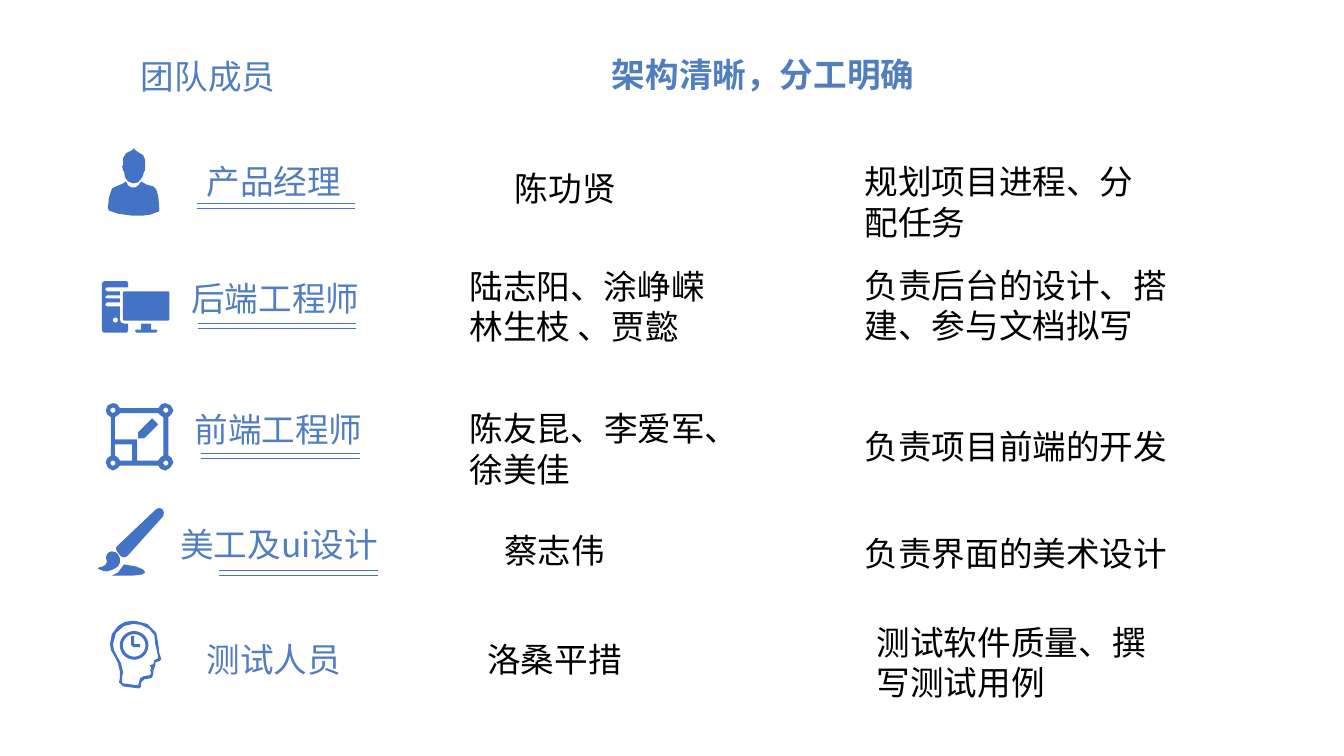
"""Build a team slide with roles, icons, members and duties."""
import math
from dataclasses import dataclass

import pptx
import pptx.dml.color
import pptx.enum.shapes
import pptx.enum.text
import pptx.oxml
import pptx.oxml.ns
import pptx.util
from lxml import etree

WIDTH, HEIGHT = pptx.util.Inches(13.33), pptx.util.Inches(7.5)
COLORS = {"heading": "517EBF", "icon": "4472C4", "body": "000000"}
FONT = "Noto Sans CJK SC"
ICON_CELL = WIDTH / 1333
ONE_LINE, TWO_LINES = 6.67, 12.13
RULE_WIDTH, RULE_GAP = 11.82, 0.6
Point = tuple[float, float]


@dataclass
class Label:
    text: str
    x: float
    y: float
    w: float
    h: float = ONE_LINE
    color: str = "body"
    bold: bool = False
    centered: bool = False


@dataclass
class Icon:
    x: float
    y: float
    outlines: list[str]
    circles: tuple[tuple[float, float, float], ...] = ()


@dataclass
class TeamRow:
    icon: Icon
    role: Label
    members: Label
    duty: Label
    rule: Point | None = None


def across(share: float) -> int:
    return round(WIDTH * share / 100)


def down(share: float) -> int:
    return round(HEIGHT * share / 100)


def rgb(name: str) -> pptx.dml.color.RGBColor:
    return pptx.dml.color.RGBColor.from_string(COLORS[name])


def role(text: str, x: float, y: float, w: float) -> Label:
    return Label(text, x, y, w, color="heading")


def draw_label(s, label: Label) -> None:
    box = s.shapes.add_textbox(across(label.x), down(label.y), across(label.w), down(label.h))
    tf = box.text_frame
    tf.text = label.text
    tf.word_wrap = True
    tf.auto_size = pptx.enum.text.MSO_AUTO_SIZE.SHAPE_TO_FIT_TEXT
    for p in tf.paragraphs:
        if label.centered:
            p.alignment = pptx.enum.text.PP_ALIGN.CENTER
        for r in p.runs:
            r.font.size = pptx.util.Pt(24)
            r.font.bold = label.bold
            r.font.color.rgb = rgb(label.color)
            r.font.name = FONT
            ea = etree.SubElement(r._r.get_or_add_rPr(), pptx.oxml.ns.qn("a:ea"))
            ea.set("typeface", FONT)


def parse_outline(outline: str) -> list[Point]:
    return [tuple(map(float, pair.split(","))) for pair in outline.split()]


def circle_points(cx: float, cy: float, radius: float) -> list[Point]:
    angles = (math.tau * i / 32 for i in range(32))
    return [(cx + radius * math.cos(a), cy + radius * math.sin(a)) for a in angles]


def draw_icon(s, icon: Icon) -> None:
    contours = [parse_outline(o) for o in icon.outlines]
    contours += [circle_points(*c) for c in icon.circles]
    placed = [[(across(icon.x) + x * ICON_CELL, down(icon.y) + y * ICON_CELL) for x, y in c]
              for c in contours]
    builder = s.shapes.build_freeform(*placed[0][0])
    for i, contour in enumerate(placed):
        if i:
            builder.move_to(*contour[0])
        builder.add_line_segments(contour[1:], close=True)
    sp = builder.convert_to_shape()
    sp.shadow.inherit = False
    sp.fill.solid()
    sp.fill.fore_color.rgb = rgb("icon")
    sp.line.fill.background()


def draw_double_rule(s, x: float, y: float) -> None:
    for top in (y, y + RULE_GAP):
        line = s.shapes.add_connector(
            pptx.enum.shapes.MSO_CONNECTOR.STRAIGHT,
            across(x), down(top), across(x + RULE_WIDTH), down(top))
        line.line.color.rgb = rgb("icon")
        line.line.width = pptx.util.Pt(0.5)
        etree.SubElement(line._element.spPr, pptx.oxml.ns.qn("a:effectLst"))


MANAGER = Icon(8.03, 19.6, [
    "18,33 20,37 23,39 27,39 30,37 33,33 38,36 45,38 48,41 50,48 51,61 50,63 42,66 "
    "34,67 24,67 10,65 1,62 0,59 1,49 4,40 8,38 15,35",
    "26,0 27,2 30,4 35,7 37,12 37,18 37,22 36,23 34,29 30,34 25,35 20,33 17,29 16,23 "
    "15,22 14,18 15,17 15,10 18,5 22,3 24,2"])
COMPUTER = Icon(7.58, 37.2, [
    "22,10 66,10 67,11 67,38 66,39 22,39 21,38 21,11",
    "54,48 49,48 49,42 39,42 39,48 34,48 33,49 34,51 54,51 55,49",
    "26,6 5,6 3,8 5,10 18,10 18,14 5,14 3,16 5,17 18,17 18,21 5,21 3,23 5,25 18,25 "
    "18,38 19,41 22,42 26,42 26,49 25,51 2,51 0,49 0,2 2,0 25,0 26,2"],
    ((13.5, 38.5, 2.5),))
FRAME = Icon(7.88, 53.33, [
    "7,0 11,1 14,5 52,5 55,1 59,0 64,2 67,7 65,11 62,14 62,52 65,54 67,59 64,64 59,67 "
    "54,65 52,62 14,62 11,65 7,67 2,64 0,59 1,55 5,52 5,14 1,11 0,7 2,2",
    "14,10 12,12 9,14 9,36 31,36 31,57 52,57 54,54 57,52 57,14 54,12 52,10",
    "9,41 9,52 12,54 14,57 26,57 26,41",
    "46,15 52,21 38,35 32,35 32,29"],
    tuple((x, y, 2.5) for x in (7, 59.5) for y in (7, 59.5)))
BRUSH = Icon(7.28, 67.2, [
    "26,56 38,58 45,61 47,64 44,66 35,67 19,67 14,67 20,64 23,60",
    "14,43 18,44 20,46 22,50 22,54 20,58 15,61 9,63 4,62 0,60 1,59 5,58 8,56 9,53 "
    "8,49 9,46 11,44",
    "61,0 64,1 65.5,4 65,8 29,48 26,49 23,48 19,43 18,40 19,38 58,1"])
HEAD = Icon(8.18, 82.13, [
    "25,0 37,3 46,12 48,23 49,32 51,38 49,40 45,41 45,44 44,47 43,49 43,52 42,56 40,57 "
    "34,58 31,61 31,65 29,67 13,65 10,62 9,61 10,56 10,51 8,42 5,36 1,29 0,23 2,13 8,5 "
    "15,1 22,0",
    "23,3 14,5 6,12 3,23 4,29 7,35 11,42 13,51 12,56 12,61 13,62 28,64 30,57 33,55 "
    "39,54 41,52 40,49 41,47 40,45 40,44 43,43 44,39 48,37 47,32 45,23 44,14 39,8 31,4",
    "21,15 24,15 24,23 30,23 30,26 23,26 21,24"],
    ((24, 24.3, 14.2), (24, 24.3, 11.2)))

HEADINGS = [
    Label("团队成员", 9.75, 6.67, 30.6, color="heading"),
    Label("架构清晰，分工明确", 24.08, 6.53, 65.4, color="heading", bold=True, centered=True),
]
TEAM = [
    TeamRow(MANAGER, role("产品经理", 14.63, 20.67, 13.58),
            Label("陈功贤", 37.58, 21.6, 14.78),
            Label("规划项目进程、分配任务", 63.6, 20.67, 21.6, TWO_LINES), (14.63, 26.93)),
    TeamRow(COMPUTER, role("后端工程师", 13.5, 36.13, 14.78),
            Label("陆志阳、涂峥嵘\n林生枝 、贾懿", 34.2, 34.53, 21.75, TWO_LINES),
            Label("负责后台的设计、搭建、参与文档拟写", 63.6, 34.4, 24.08, TWO_LINES),
            (14.7, 42.8)),
    TeamRow(FRAME, role("前端工程师", 13.73, 53.47, 15.38),
            Label("陈友昆、李爱军、徐美佳", 34.2, 53.33, 20.63, TWO_LINES),
            Label("负责项目前端的开发", 63.6, 55.73, 24.08), (14.93, 60)),
    TeamRow(BRUSH, role("美工及ui设计", 12.68, 68.67, 19.43),
            Label("蔡志伟", 31.13, 69.47, 20.25, centered=True),
            Label("负责界面的美术设计", 63.6, 69.87, 24.08), (16.28, 75.47)),
    TeamRow(HEAD, role("测试人员", 14.63, 83.87, 13.13),
            Label("洛桑平措", 31.13, 83.87, 20.25, centered=True),
            Label("测试软件质量、撰写测试用例", 64.5, 81.6, 23.18, TWO_LINES)),
]


def main() -> None:
    prs = pptx.Presentation()
    prs.slide_width, prs.slide_height = WIDTH, HEIGHT
    s = prs.slides.add_slide(prs.slide_layouts[6])
    for heading in HEADINGS:
        draw_label(s, heading)
    for row in TEAM:
        draw_icon(s, row.icon)
        for label in (row.role, row.members, row.duty):
            draw_label(s, label)
        if row.rule:
            draw_double_rule(s, *row.rule)
    prs.save("out.pptx")


if __name__ == "__main__":
    main()
